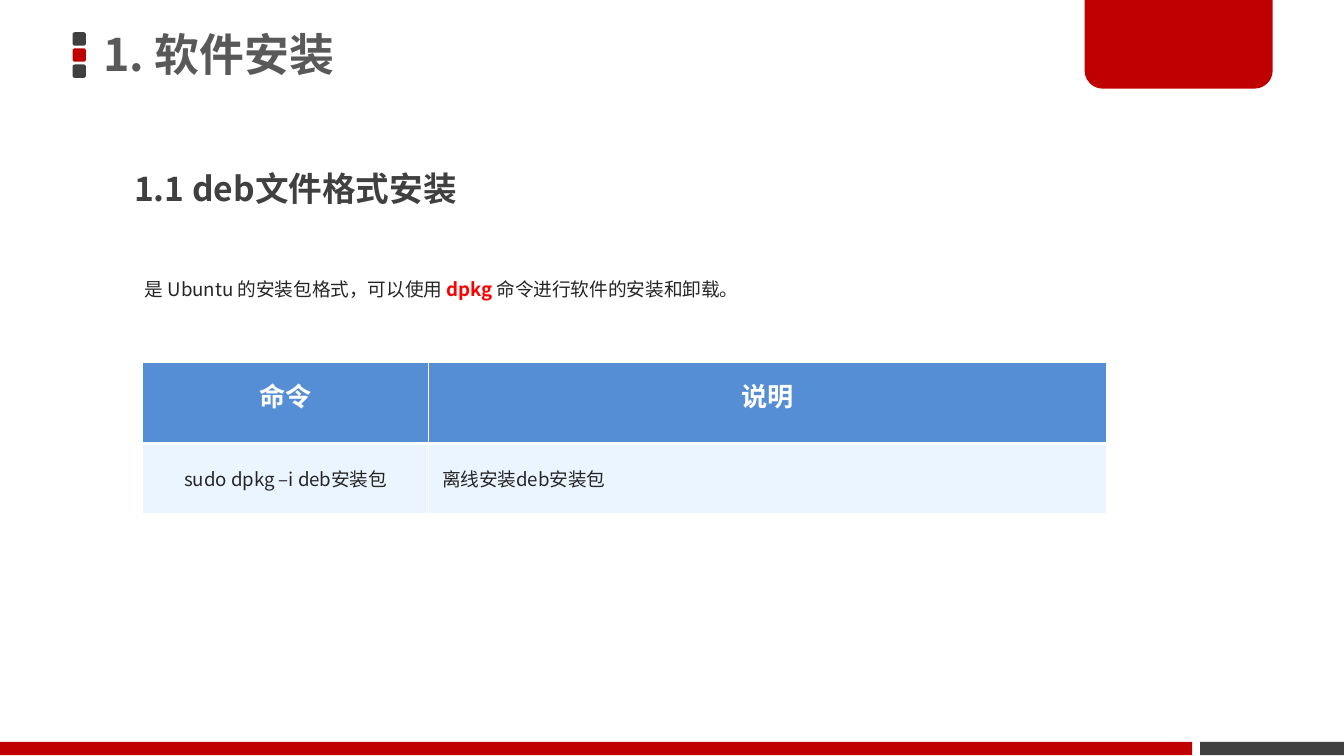
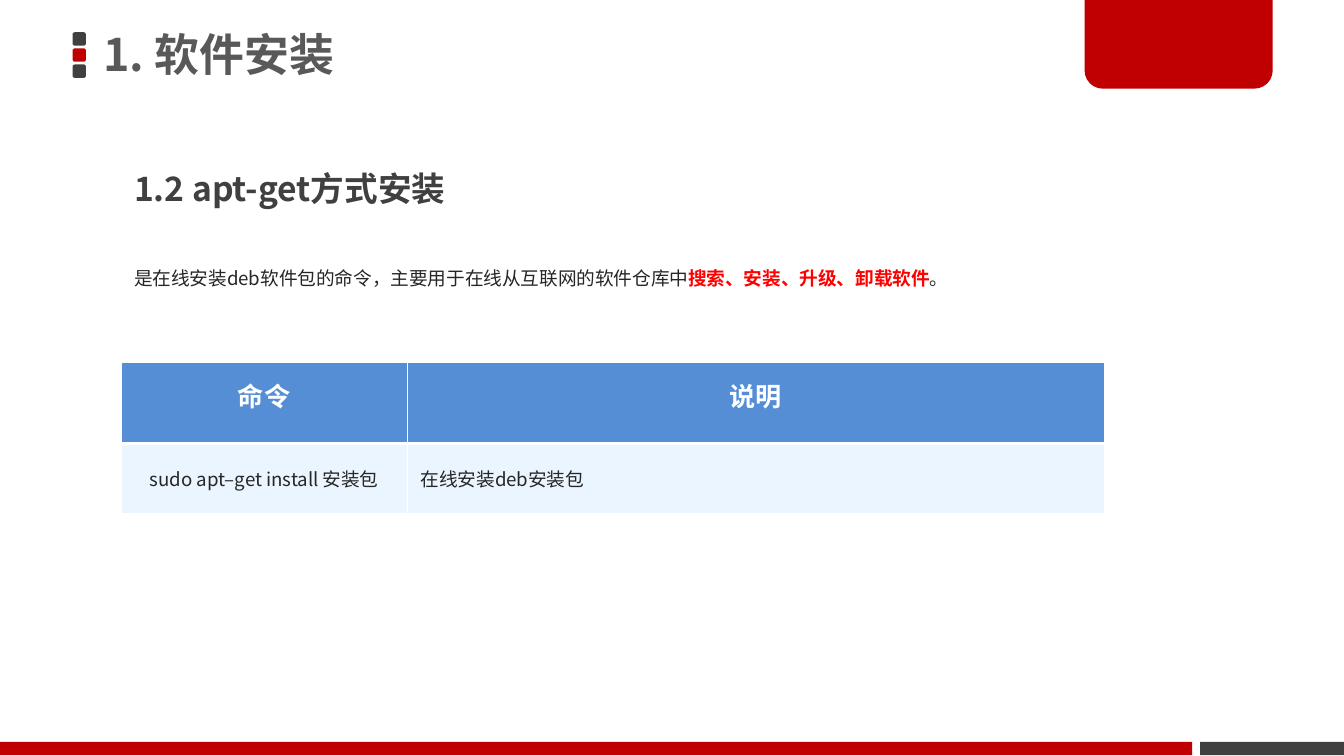
from lxml import etree
from pptx import Presentation
from pptx.dml.color import RGBColor
from pptx.enum.shapes import MSO_SHAPE
from pptx.enum.text import MSO_ANCHOR, MSO_AUTO_SIZE, PP_ALIGN
from pptx.oxml.ns import qn
from pptx.util import Inches, Pt

RECTANGLE = MSO_SHAPE.RECTANGLE
ROUNDED = MSO_SHAPE.ROUNDED_RECTANGLE
TAB = MSO_SHAPE.ROUND_2_SAME_RECTANGLE
TOP, MIDDLE = MSO_ANCHOR.TOP, MSO_ANCHOR.MIDDLE
LEFT, CENTER = PP_ALIGN.LEFT, PP_ALIGN.CENTER
FIXED, GROW = MSO_AUTO_SIZE.NONE, MSO_AUTO_SIZE.SHAPE_TO_FIT_TEXT

FONT = "Noto Sans CJK SC"
COLORS = {
    "red": "C00000",
    "dark": "404040",
    "title": "595959",
    "text": "262626",
    "accent": "FF0000",
    "header": "558ED5",
    "row": "EBF5FF",
    "white": "FFFFFF",
}
CELL = Inches(0.1)
COLUMNS, ROWS = 100, 56.25
FOOTER_ROW = 55.2
COMMAND_COLUMNS = 21.3
TABLE_ROWS = (6, 5.2)
THIN, THICK = 0.45, 1.47

SECTIONS = [
    {
        "heading": "1.1 deb文件格式安装",
        "intro": [("是 Ubuntu 的安装包格式，可以使用 ", False), ("dpkg ", True),
                  ("命令进行软件的安装和卸载。", False)],
        "intro_area": (9.8, 20.2, 60.6, 2.7),
        "command": ("sudo dpkg –i deb安装包", "离线安装deb安装包"),
        "table_left": 10.6,
        "table_columns": 71.7,
    },
    {
        "heading": "1.2 apt-get方式安装",
        "intro": [("是在线安装deb软件包的命令，主要用于在线从互联网的软件仓库中", False),
                  ("搜索、安装、升级、卸载软件", True), ("。", False)],
        "intro_area": (9, 19.4, 70.9, 2.7),
        "command": ("sudo apt–get install 安装包", "在线安装deb安装包"),
        "table_left": 9,
        "table_columns": 73.2,
    },
]


def cells(*counts):
    return [round(count * CELL) for count in counts]


def rgb(name):
    return RGBColor.from_string(COLORS[name])


def add_text(para, text, size=10, color="text", bold=False):
    span = para.add_run()
    span.text = text
    font = span.font
    font.size, font.bold, font.name = Pt(size), bold, FONT
    font.color.rgb = rgb(color)
    east_asian = etree.SubElement(span._r.get_or_add_rPr(), qn("a:ea"))
    east_asian.set("typeface", FONT)


def format_frame(frame, fit=GROW, anchor=TOP, side=0.1, edge=0.05):
    frame.word_wrap = True
    frame.auto_size = fit
    frame.vertical_anchor = anchor
    frame.margin_left = frame.margin_right = Inches(side)
    frame.margin_top = frame.margin_bottom = Inches(edge)


def add_block(page, kind, area, color, rounding=()):
    block = page.shapes.add_shape(kind, *cells(*area))
    block.shadow.inherit = False
    block.fill.solid()
    block.fill.fore_color.rgb = rgb(color)
    block.line.fill.background()
    for index, share in enumerate(rounding):
        block.adjustments[index] = share


def add_frame(page):
    for index, color in enumerate(("dark", "red", "dark")):
        add_block(page, ROUNDED, (5.4, 2.4 + 1.2 * index, 1, 1), color, (0.17,))
    add_block(page, RECTANGLE, (89.3, FOOTER_ROW, COLUMNS - 89.3, 1), "dark")
    add_block(page, TAB, (80.7, -0.2, 14, 6.8), "red", (0, 0.2))
    add_block(page, RECTANGLE, (0, FOOTER_ROW, 88.7, 1), "red")


def add_title(page, text):
    title = page.shapes.title
    title.left, title.top, title.width, title.height = cells(6.9, -0.2, 58.9, 8.9)
    format_frame(title.text_frame, fit=FIXED, anchor=MIDDLE, side=0.08, edge=0.04)
    para = title.text_frame.paragraphs[0]
    para.alignment, para.line_spacing = LEFT, 0.9
    add_text(para, text, size=24, color="title", bold=True)


def add_box(page, area):
    box = page.shapes.add_textbox(*cells(*area))
    format_frame(box.text_frame)
    return box.text_frame.paragraphs[0]


def add_heading(page, text):
    para = add_box(page, (9, 10.5, 38.4, 5.5))
    para.line_spacing = 1.5
    add_text(para, text, size=18, color="dark", bold=True)


def add_intro(page, spans, area):
    para = add_box(page, area)
    for text, stressed in spans:
        add_text(para, text, color="accent" if stressed else "text", bold=stressed)


def set_borders(cell, top, bottom):
    properties = cell._tc.get_or_add_tcPr()
    widths = {"lnL": THIN, "lnR": THIN, "lnT": top, "lnB": bottom}
    for index, (side, width) in enumerate(widths.items()):
        border = etree.Element(qn("a:" + side), w=str(Pt(width)))
        fill = etree.SubElement(border, qn("a:solidFill"))
        etree.SubElement(fill, qn("a:srgbClr"), val=COLORS["white"])
        properties.insert(index, border)


def fill_cell(cell, text, fill, align=CENTER, anchor=MIDDLE, spacing=None,
              top=THIN, bottom=THIN, **text_format):
    cell.fill.solid()
    cell.fill.fore_color.rgb = rgb(fill)
    cell.vertical_anchor = anchor
    set_borders(cell, top, bottom)
    para = cell.text_frame.paragraphs[0]
    para.alignment, para.line_spacing = align, spacing
    add_text(para, text, **text_format)


def add_command_table(page, command, left, columns):
    area = cells(left, 27, columns, sum(TABLE_ROWS))
    table = page.shapes.add_table(2, 2, *area).table
    table.horz_banding = False
    widths = cells(COMMAND_COLUMNS, columns - COMMAND_COLUMNS)
    for column, width in zip(table.columns, widths):
        column.width = width
    for row, height in zip(table.rows, cells(*TABLE_ROWS)):
        row.height = height
    for index, label in enumerate(("命令", "说明")):
        fill_cell(table.cell(0, index), label, "header", anchor=TOP, spacing=Pt(24),
                  bottom=THICK, size=14, color="white", bold=True)
    for index, (text, align) in enumerate(zip(command, (CENTER, LEFT))):
        fill_cell(table.cell(1, index), text, "row", align=align, top=THICK)


def add_section(deck, section):
    page = deck.slides.add_slide(deck.slide_layouts.get_by_name("Title Only"))
    add_frame(page)
    add_title(page, "1. 软件安装")
    add_heading(page, section["heading"])
    add_intro(page, section["intro"], section["intro_area"])
    add_command_table(page, section["command"], section["table_left"],
                      section["table_columns"])


def main():
    deck = Presentation()
    deck.slide_width, deck.slide_height = cells(COLUMNS, ROWS)
    for section in SECTIONS:
        add_section(deck, section)
    deck.save("out.pptx")


if __name__ == "__main__":
    main()
